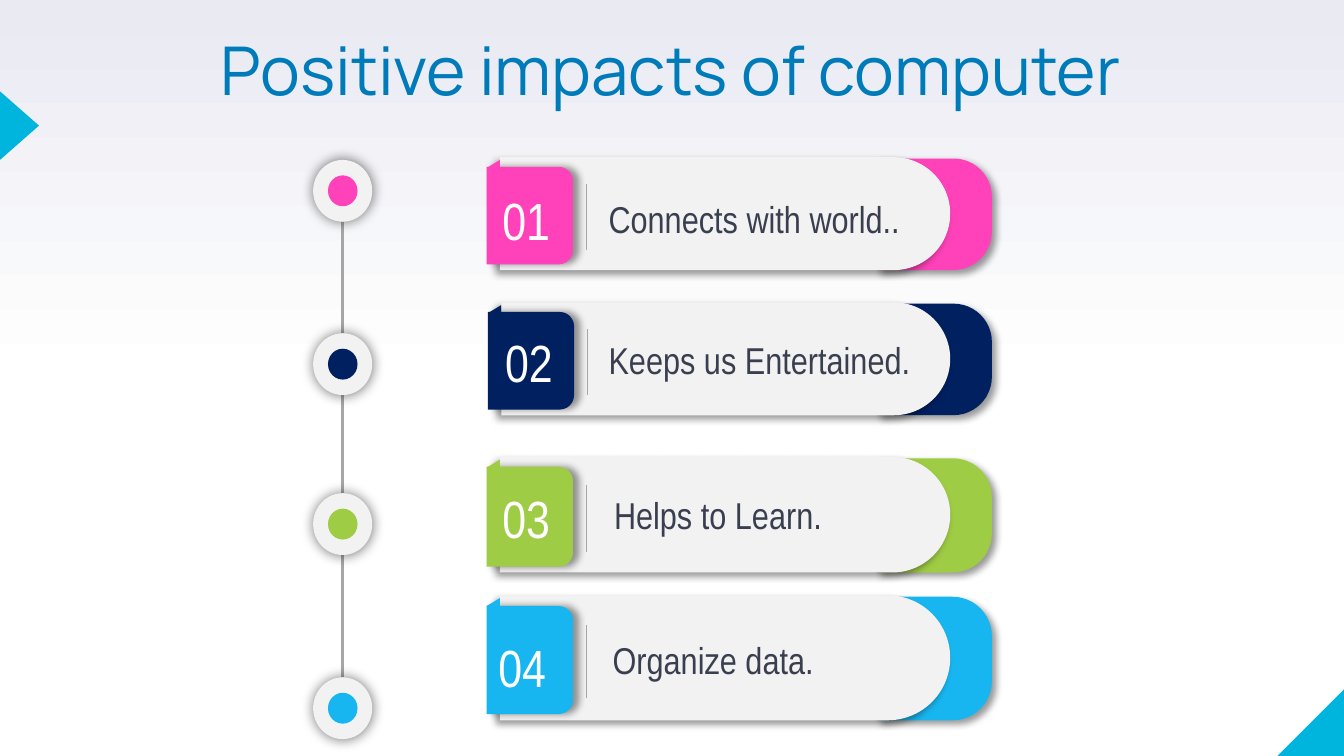
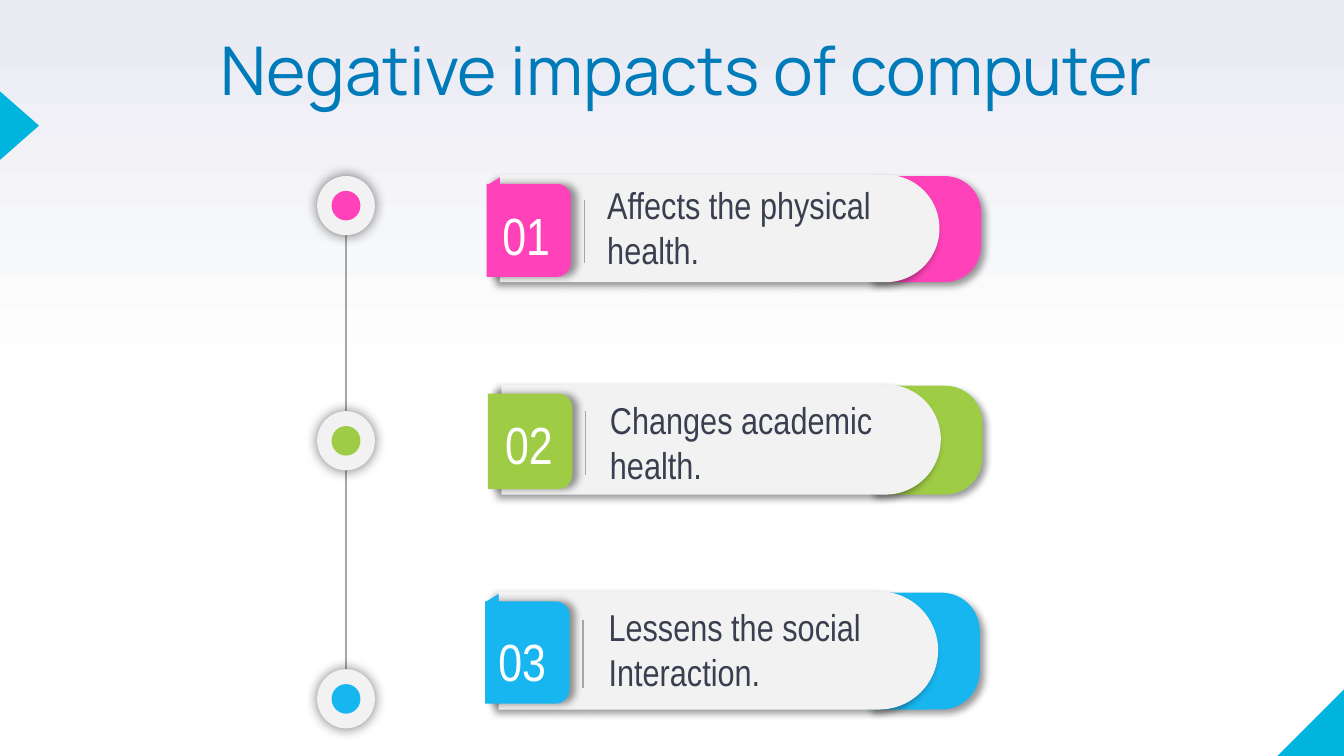
from lxml import etree
from pptx import Presentation
from pptx import util as u
from pptx.dml.color import RGBColor
from pptx.enum import shapes, text
from pptx.oxml.ns import qn

PINK, NAVY, LIME, SKY = "FF42B9", "002060", "9FCC45", "18B6F0"
PALE, GREY, CYAN, WHITE = "F2F2F2", "A6A6A6", "00B5DD", "FFFFFF"
KIND = shapes.MSO_SHAPE
HEAD = dict(name="Manrope", size=u.Pt(36), color="007BB9")
BODY = dict(name="Arial Narrow", size=u.Pt(20), color="3A3F50")
NUM = dict(name="Arial Narrow", size=u.Pt(28), color=WHITE)


def rgb(code):
    return RGBColor.from_string(code)


def inch(*vals):
    return [u.Inches(v) for v in vals]


class Deck:
    def __init__(self):
        self.prs = Presentation()
        self.prs.slide_width, self.prs.slide_height = inch(10, 10 * 9 / 16)

    def page(self, title):
        """Start a slide with the shared backdrop, corner marks and title."""
        self.slide = self.prs.slides.add_slide(self.prs.slide_layouts[6])
        fill = self.slide.background.fill
        fill.gradient()
        fill.gradient_angle = 90
        for stop, (pos, hue) in zip(fill.gradient_stops, [(0.5, WHITE), (1, "E9EAF2")]):
            stop.position, stop.color.rgb = pos, rgb(hue)
        mark = self.shape(KIND.RIGHT_TRIANGLE, (9.5, 5.12, 0.51, 0.51), CYAN)
        mark._element.spPr.find(qn("a:xfrm")).set("flipH", "1")
        self.shape(KIND.ISOSCELES_TRIANGLE, (0, 0.68, 0.29, 0.51), CYAN, turn=90)
        self.label(title, (1.64, 0.33, 7.52, 0.58), HEAD, inset=0, spacing=0.8)

    def shape(self, kind, box, hue, turn=0, adj=(), shade=None):
        """Fill a preset shape; box is the area it covers after a quarter turn."""
        x, y, w, h = box
        if turn:
            x, y, w, h = x + (w - h) / 2, y + (h - w) / 2, h, w
        item = self.slide.shapes.add_shape(kind, *inch(x, y, w, h))
        item.rotation = turn
        item.shadow.inherit = False
        item.fill.solid()
        item.fill.fore_color.rgb = rgb(hue)
        item.line.fill.background()
        for i, val in enumerate(adj):
            item.adjustments[i] = val
        if shade:
            self.shade(item, *shade)
        return item

    def shade(self, item, alpha, blur, dist, angle):
        """Cast a black shadow: per cent, points, points, degrees."""
        glow = etree.SubElement(
            item._element.spPr.find(qn("a:effectLst")), qn("a:outerShdw"),
            blurRad=str(u.Pt(blur)), dist=str(u.Pt(dist)),
            dir=str(angle * 60000), algn="ctr", rotWithShape="0")
        tint = etree.SubElement(glow, qn("a:srgbClr"), val="000000")
        etree.SubElement(tint, qn("a:alpha"), val=str(alpha * 1000))

    def line(self, x, top, end, width):
        link = self.slide.shapes.add_connector(
            shapes.MSO_CONNECTOR.STRAIGHT, *inch(x, top, x, end))
        link.line.color.rgb = rgb(GREY)
        link.line.width = u.Pt(width)
        etree.SubElement(link._element.spPr, qn("a:effectLst"))

    def label(self, words, box, font, inset=None, spacing=None):
        frame = self.slide.shapes.add_textbox(*inch(*box)).text_frame
        frame.word_wrap = True
        frame.vertical_anchor = text.MSO_ANCHOR.TOP
        if inset is not None:
            for side in ("left", "top", "right", "bottom"):
                setattr(frame, "margin_" + side, u.Inches(inset))
        para = frame.paragraphs[0]
        para.line_spacing = spacing
        run = para.add_run()
        run.text = words
        for key, val in font.items():
            if key == "color":
                run.font.color.rgb = rgb(val)
            else:
                setattr(run.font, key, val)

    def track(self, x, w, h, dots):
        """Draw a chain of ringed dots, given as (top, colour)."""
        for (top, _), (low, _) in zip(dots, dots[1:]):
            self.line(x + w / 2, top + h, low, 1.5)
        for top, hue in dots:
            self.shape(KIND.OVAL, (x, top, w, h), PALE, shade=(54, 7, 0, 0))
            self.shape(KIND.OVAL, (x + w / 4, top + h / 4, w / 2, h / 2), hue)

    def bar(self, num, hue, box, spot, words, area, drop=0.02):
        """Draw a numbered bar; spot places the number, drop the notch."""
        x, y, w, h = box
        slab = KIND.ROUND_2_SAME_RECTANGLE
        tail, tab = 0.255 * w, 0.192 * w
        self.shape(slab, (x + w + 0.31 - tail, y + 0.01, tail, h - 0.01), hue, 90,
                   (0.343, 0), (40, 4, 3, 45))
        self.shape(slab, box, PALE, 90, (0.5, 0), (40, 4, 3, 135))
        self.shape(slab, (x - 0.1, y + 0.085 * h, tab, 0.865 * h), hue, 90,
                   shade=(40, 4, 3, 0))
        self.shape(KIND.RIGHT_TRIANGLE, (x - 0.1, y + drop, 0.1, 0.06), hue, 270)
        self.label(f"{num:02}", (*spot, 0.64, 0.57), NUM)
        self.line(x + tab, y + 0.24 * h, y + 0.82 * h, 0.75)
        self.label(words, area, BODY)


def main():
    deck = Deck()
    pages = [
        ("Positive impacts of computer", (2.33, 0.44, 0.46),
         [(1.19, PINK), (2.48, NAVY), (3.67, LIME), (5.04, SKY)],
         [((3.72, 1.17, 3.35, 0.84), (3.64, 1.35),
           "Connects with world..", (4.43, 1.41, 2.53, 0.44)),
          ((3.73, 2.25, 3.34, 0.84), (3.66, 2.41),
           "Keeps us Entertained.", (4.43, 2.46, 2.53, 0.44)),
          ((3.72, 3.4, 3.35, 0.86), (3.64, 3.57),
           "Helps to Learn.", (4.47, 3.61, 2.49, 0.44)),
          ((3.72, 4.43, 3.35, 0.93), (3.61, 4.68),
           "Organize data.", (4.46, 4.69, 2.18, 0.44))]),
        ("Negative impacts of computer", (2.36, 0.43, 0.44),
         [(1.31, PINK), (3.06, LIME), (4.98, SKY)],
         [((3.72, 1.3, 3.27, 0.8), (3.64, 1.46),
           "Affects the physical health.", (4.42, 1.31, 2.47, 0.77)),
          ((3.73, 2.86, 3.27, 0.82), (3.66, 3.02),
           "Changes academic health.", (4.44, 2.91, 2.43, 0.77), 0.58),
          ((3.71, 4.4, 3.27, 0.88), (3.61, 4.63),
           "Lessens the social Interaction.", (4.43, 4.45, 2.13, 0.77))]),
    ]
    for title, ring, dots, bars in pages:
        deck.page(title)
        deck.track(*ring, dots)
        for num, ((_, hue), row) in enumerate(zip(dots, bars), 1):
            deck.bar(num, hue, *row)
    deck.prs.save("out.pptx")


if __name__ == "__main__":
    main()
